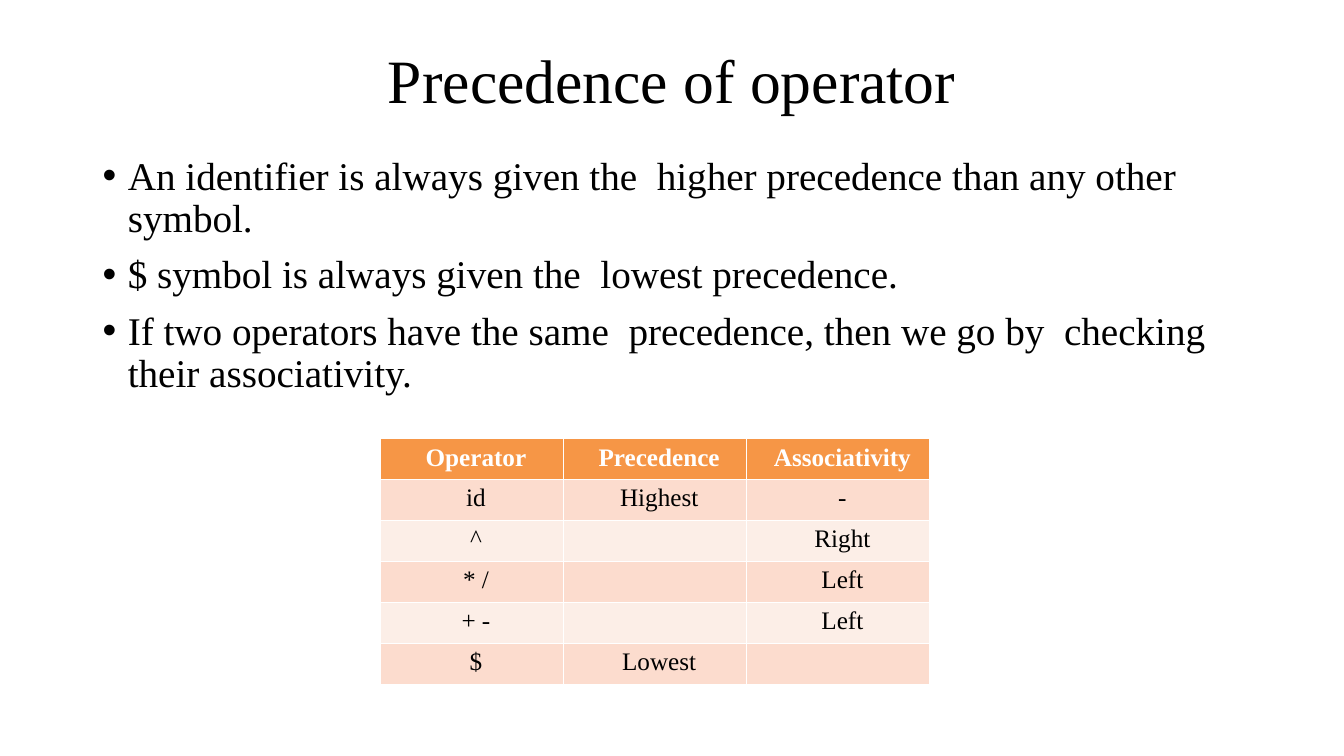
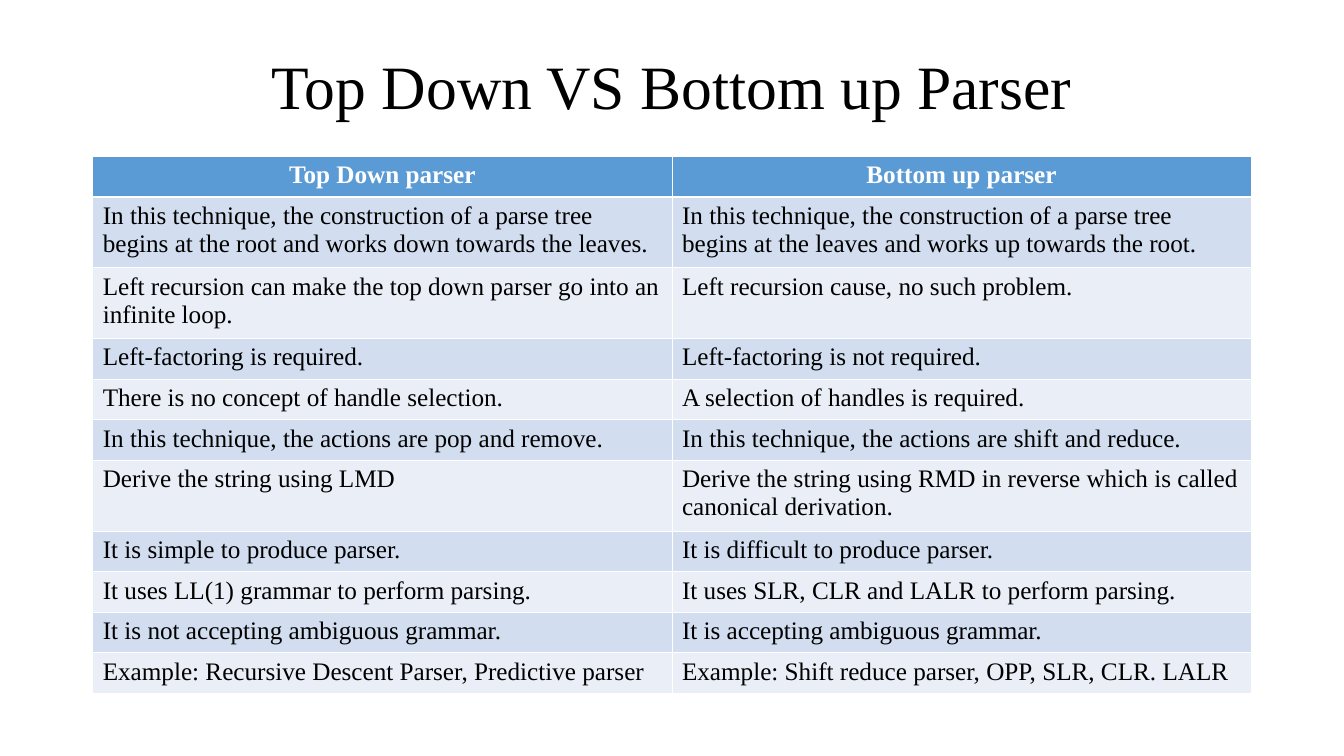
import pptx
import pptx.util
import pptx.dml.color
import pptx.enum.text
from lxml import etree
from pptx.oxml.ns import qn

WIDE, HIGH = 13.34, 7.5
FONT = "Times New Roman"
HUES = {
    "ink": "000000",
    "white": "FFFFFF",
    "orange": ("F69646", "FCDCCE", "FCEEE7"),  # head, odd rows, even rows
    "blue": ("5B9BD5", "D2DEEF", "EAEFF7"),
}
LEFT, SPAN = 6.9, 86.2  # main column, in percent of the width
LINES = {1: 5.37, 2: 9.37}  # row height by lines of text, in percent
ALIGN = pptx.enum.text.PP_ALIGN
MIDDLE = pptx.enum.text.MSO_ANCHOR.MIDDLE

POINTS = [
    "An identifier is always given the  higher precedence than any other  symbol.",
    "$ symbol is always given the  lowest precedence.",
    "If two operators have the same  precedence, then we go by  checking their associativity.",
]
RANKS = [
    ("Operator", "Precedence", "Associativity"),
    ("id", "Highest", "-"),
    ("^", "", "Right"),
    ("* /", "", "Left"),
    ("+ -", "", "Left"),
    ("$", "Lowest", ""),
]
# Lines of text, left cell, right cell
PAIRS = [
    (1, "Top Down parser", "Bottom up parser"),
    (2, "In this technique, the construction of a parse tree begins at the root and works down towards the leaves.",
     "In this technique, the construction of a parse tree begins at the leaves and works up towards the root."),
    (2, "Left recursion can make the top down parser go into an infinite loop.",
     "Left recursion cause, no such problem."),
    (1, "Left-factoring is required.", "Left-factoring is not required."),
    (1, "There is no concept of handle selection.", "A selection of handles is required."),
    (1, "In this technique, the actions are pop and remove.",
     "In this technique, the actions are shift and reduce."),
    (2, "Derive the string using LMD",
     "Derive the string using RMD in reverse which is called canonical derivation."),
    (1, "It is simple to produce parser.", "It is difficult to produce parser."),
    (1, "It uses LL(1) grammar to perform parsing.", "It uses SLR, CLR and LALR to perform parsing."),
    (1, "It is not accepting ambiguous grammar.", "It is accepting ambiguous grammar."),
    (1, "Example: Recursive Descent Parser, Predictive parser",
     "Example: Shift reduce parser, OPP, SLR, CLR. LALR"),
]


def across(share):
    return pptx.util.Inches(WIDE * share / 100)


def down(share):
    return pptx.util.Inches(HIGH * share / 100)


def paint(hue):
    return pptx.dml.color.RGBColor.from_string(hue)


def write(frame, *lines, size=18, hue=HUES["ink"], bold=False,
          align=ALIGN.LEFT, pitch=None, before=0, indent=0, bullet=None):
    """Fill a text frame with one paragraph per line."""
    frame.word_wrap = True
    for spot, line in enumerate(lines):
        para = frame.add_paragraph() if spot else frame.paragraphs[0]
        para.alignment = align
        para.space_before = pptx.util.Pt(before)
        if pitch:
            para.line_spacing = pitch
        props = para._p.get_or_add_pPr()
        props.set("marL", str(pptx.util.Inches(indent)))
        if bullet:
            props.set("indent", str(-pptx.util.Inches(indent)))
            etree.SubElement(props, qn("a:buFont")).set("typeface", "Arial")
            etree.SubElement(props, qn("a:buChar")).set("char", bullet)
        run = para.add_run()
        run.text = line
        font = run.font
        font.name, font.size, font.bold = FONT, pptx.util.Pt(size), bold
        font.color.rgb = paint(hue)


def add_text(slide, top, tall, *lines, **form):
    box = slide.shapes.add_textbox(across(LEFT), down(top), across(SPAN), down(tall))
    write(box.text_frame, *lines, **form)
    return box


def add_title(slide, top, tall, text):
    box = add_text(slide, top, tall, text, size=44, align=ALIGN.CENTER, pitch=0.9)
    box.text_frame.vertical_anchor = MIDDLE


def rule(cell, row):
    """Draw white cell borders, thick between head and body."""
    props = cell._tc.get_or_add_tcPr()
    thick = {"T": row == 1, "B": row == 0}
    for spot, side in enumerate("LRTB"):
        line = etree.Element(qn("a:ln" + side))
        line.set("w", str(pptx.util.Pt(1.47 if thick.get(side) else 0.45)))
        fill = etree.SubElement(line, qn("a:solidFill"))
        etree.SubElement(fill, qn("a:srgbClr")).set("val", HUES["white"])
        props.insert(spot, line)


def add_grid(slide, left, top, wide, rows, talls, hues, align, indent=0):
    count = len(rows[0])
    table = slide.shapes.add_table(len(rows), count, across(left), down(top),
                                   across(wide), down(sum(talls))).table
    table.first_row = table.horz_banding = False
    for col in table.columns:
        col.width = across(wide / count)
    for r, texts in enumerate(rows):
        table.rows[r].height = down(talls[r])
        head = r == 0
        for c, text in enumerate(texts):
            cell = table.cell(r, c)
            cell.fill.solid()
            cell.fill.fore_color.rgb = paint(hues[0 if head else 2 - r % 2])
            rule(cell, r)
            if text:
                write(cell.text_frame, text, bold=head, indent=indent,
                      hue=HUES["white" if head else "ink"],
                      align=ALIGN.CENTER if head else align)


def main():
    deck = pptx.Presentation()
    deck.slide_width, deck.slide_height = across(100), down(100)
    blank = deck.slide_layouts[6]

    # Precedence rules and table
    slide = deck.slides.add_slide(blank)
    add_title(slide, 3.6, 14.93, "Precedence of operator")
    add_text(slide, 20, 68.13, *POINTS, size=28, pitch=0.9, before=10,
             indent=0.25, bullet="•")
    add_grid(slide, 28.26, 58, 40.9, RANKS, [5.42] * len(RANKS),
             HUES["orange"], ALIGN.CENTER, indent=0.09)

    # Parser comparison
    slide = deck.slides.add_slide(blank)
    add_title(slide, 5.33, 12.93, "Top Down VS Bottom up Parser")
    add_grid(slide, LEFT, 20.67, SPAN, [pair[1:] for pair in PAIRS],
             [LINES[pair[0]] for pair in PAIRS], HUES["blue"], ALIGN.LEFT)

    deck.save("out.pptx")


if __name__ == "__main__":
    main()
